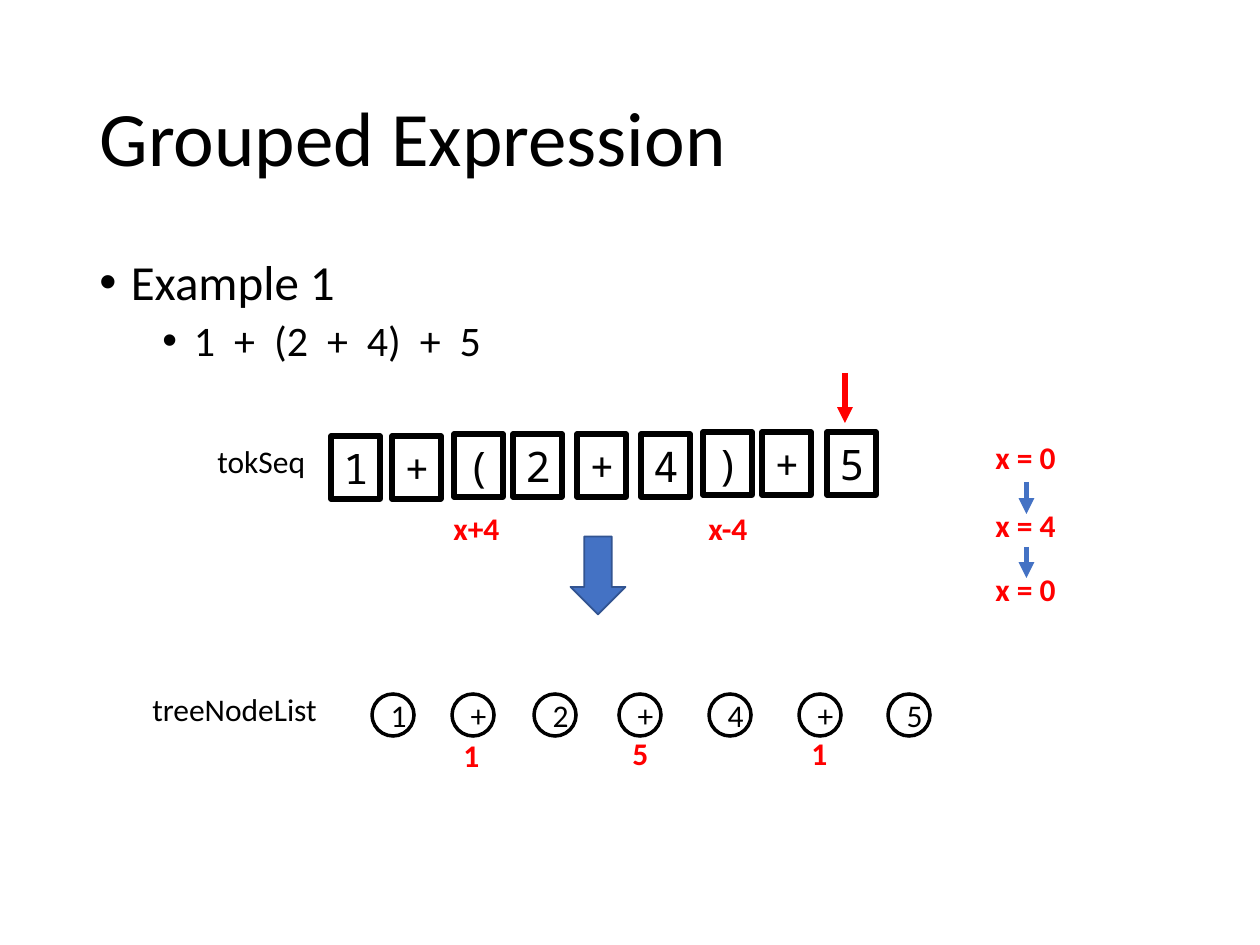
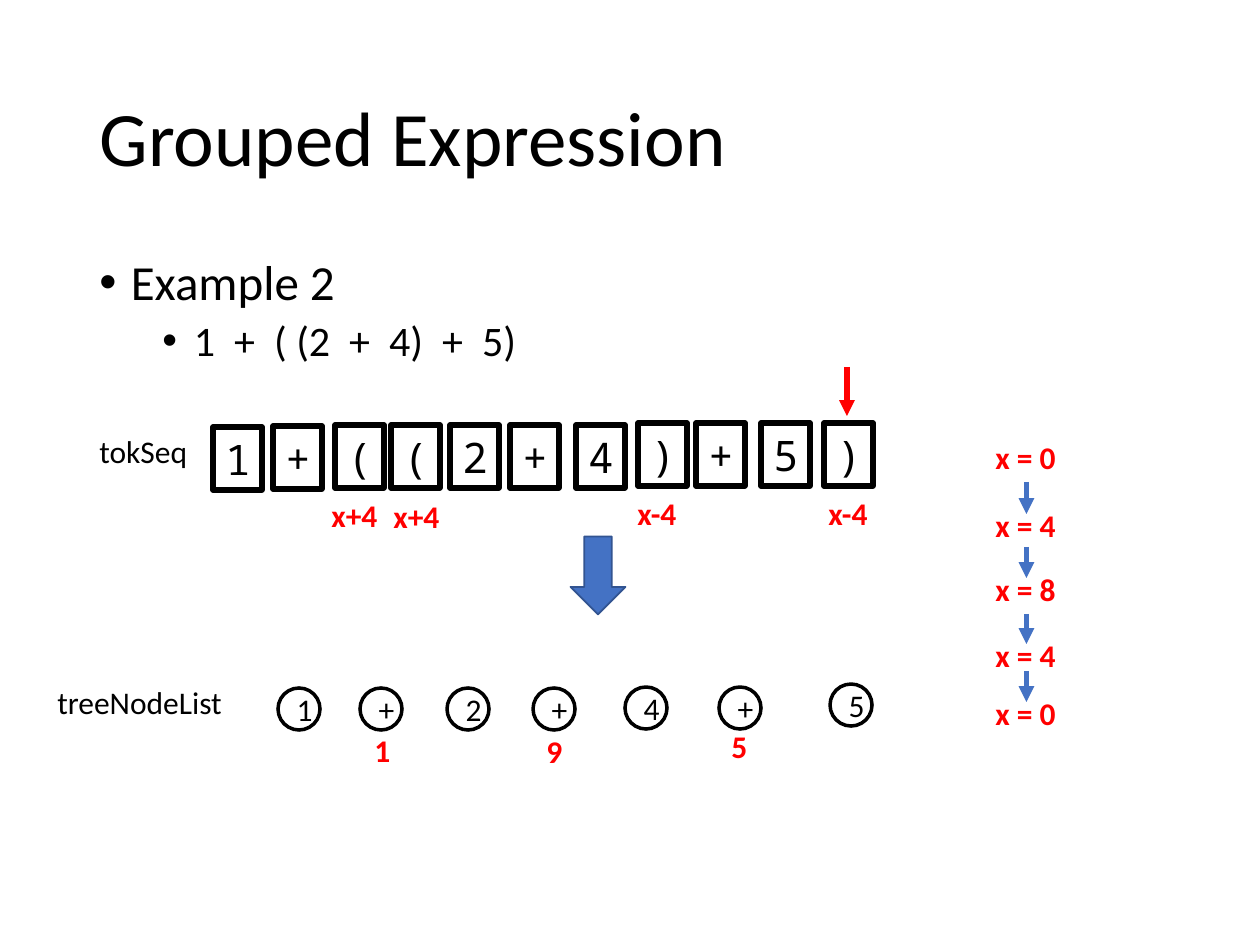
from lxml import etree
from pptx import Presentation
from pptx.dml.color import RGBColor
from pptx.enum.shapes import MSO_CONNECTOR, MSO_SHAPE
from pptx.enum.text import MSO_ANCHOR, MSO_AUTO_SIZE, PP_ALIGN
from pptx.oxml.ns import qn
from pptx.util import Emu, Pt

STRAIGHT = MSO_CONNECTOR.STRAIGHT
OVAL = MSO_SHAPE.OVAL
RIGHT_ARROW = MSO_SHAPE.RIGHT_ARROW
MIDDLE = MSO_ANCHOR.MIDDLE
NO_FIT = MSO_AUTO_SIZE.NONE
GROW = MSO_AUTO_SIZE.SHAPE_TO_FIT_TEXT
LEFT, CENTER = PP_ALIGN.LEFT, PP_ALIGN.CENTER

COLORS = {
    "black": "000000",
    "white": "FFFFFF",
    "red": "FF0000",
    "blue": "4472C4",
    "dark_blue": "325491",
}
FONT, MONO = "Calibri", "Noto Sans Mono"
EMU_PER_INCH, PX_PER_INCH = 914400, 126
LABEL_HEIGHT = 50
TOKEN_WIDTH, TOKEN_HEIGHT = 49, 63
NODE_SIZE = 42
TRACE_LEFT, TRACE_WIDTH = 983, 87
TRACE_TOPS = (432, 500, 564, 630, 688)
TRACE_ARROW_GAP, TRACE_ARROW_LENGTH = 17, 31

EXAMPLES = [
    {
        "heading": "Example 1",
        "expression": "1  +  (2  +  4)  +  5",
        "list_names": [("tokSeq", 205, 436, 115), ("treeNodeList", 140, 684, 192)],
        "tokens": [
            ("1", 331, 436), ("+", 392, 436), ("(", 454, 434),
            ("2", 513, 434), ("+", 577, 434), ("4", 641, 434),
            (")", 703, 432), ("+", 762, 432), ("5", 827, 432),
        ],
        "cursor": (845, 373, 423),
        "shifts": [("x+4", 441, 503, 74), ("x-4", 696, 503, 74)],
        "nodes": [
            ("1", 372, 694), ("+", 452, 694), ("2", 534, 694), ("+", 619, 694),
            ("4", 709, 694), ("+", 799, 694), ("5", 888, 694),
        ],
        "priorities": [("1", 451, 730), ("5", 620, 728), ("1", 799, 728)],
        "trace": (0, 4, 0),
    },
    {
        "heading": "Example 2",
        "expression": "1  +  ( (2  +  4)  +  5)",
        "list_names": [("tokSeq", 87, 426, 115), ("treeNodeList", 45, 677, 192)],
        "tokens": [
            ("1", 213, 427), ("+", 273, 426), ("(", 335, 425), ("(", 391, 425),
            ("2", 450, 425), ("+", 510, 425), ("4", 576, 425), (")", 638, 423),
            ("+", 696, 423), ("5", 761, 423), (")", 824, 423),
        ],
        "cursor": (847, 367, 416),
        "shifts": [
            ("x+4", 319, 490, 74), ("x+4", 381, 491, 74),
            ("x-4", 625, 488, 72), ("x-4", 816, 488, 72),
        ],
        "nodes": [
            ("1", 278, 688), ("+", 360, 688), ("2", 447, 688), ("+", 533, 688),
            ("4", 625, 687), ("+", 719, 687), ("5", 830, 684),
        ],
        "priorities": [("1", 362, 725), ("9", 534, 726), ("5", 719, 721)],
        "trace": (0, 4, 8, 4, 0),
    },
]


def px(length):
    return Emu(round(length * EMU_PER_INCH / PX_PER_INCH))


def rgb(name):
    return RGBColor.from_string(COLORS[name])


def add_span(para, text, size, color="black", font=FONT, bold=False):
    span = para.add_run()
    span.text = text
    span.font.name = font
    span.font.size = Pt(size)
    span.font.bold = bold
    span.font.color.rgb = rgb(color)


def set_line(shape, color, width):
    shape.line.color.rgb = rgb(color)
    shape.line.width = Pt(width)


def add_shape(page, kind, left, top, width, height, fill, line, line_width):
    shape = page.shapes.add_shape(kind, px(left), px(top), px(width), px(height))
    shape.shadow.inherit = False
    shape.fill.solid()
    shape.fill.fore_color.rgb = rgb(fill)
    set_line(shape, line, line_width)
    return shape


def add_label(page, text, left, top, width, height=LABEL_HEIGHT, size=18,
              color="black", font=FONT, bold=False):
    box = page.shapes.add_textbox(px(left), px(top), px(width), px(height))
    box.text_frame.word_wrap = False
    box.text_frame.auto_size = GROW
    add_span(box.text_frame.paragraphs[0], text, size, color, font, bold)
    return box


def add_red_label(page, text, left, top, width):
    return add_label(page, text, left, top, width, color="red", bold=True)


def add_token(page, text, left, top):
    box = add_label(page, text, left, top, TOKEN_WIDTH, TOKEN_HEIGHT, 24, font=MONO)
    set_line(box, "black", 3)


def add_node(page, text, left, top):
    node = add_shape(page, OVAL, left, top, NODE_SIZE, NODE_SIZE, "white", "black", 2)
    node.text_frame.vertical_anchor = MIDDLE
    para = node.text_frame.paragraphs[0]
    para.alignment = CENTER
    add_span(para, text, 18)


def add_arrow(page, x, start, end, color):
    arrow = page.shapes.add_connector(STRAIGHT, px(x), px(start), px(x), px(end))
    set_line(arrow, color, 3)
    etree.SubElement(arrow.line._get_or_add_ln(), qn("a:tailEnd"), type="triangle")
    etree.SubElement(arrow._element.spPr, qn("a:effectLst"))
    return arrow


def add_trace(page, values):
    previous = None
    for value, top in zip(values, TRACE_TOPS):
        label = add_red_label(page, f"x = {value}", TRACE_LEFT, top, TRACE_WIDTH)
        if previous is not None:
            start = top - TRACE_ARROW_GAP
            center = TRACE_LEFT + TRACE_WIDTH / 2
            arrow = add_arrow(page, center, start, start + TRACE_ARROW_LENGTH, "blue")
            if abs(previous.top + previous.height - px(start)) <= px(1):
                arrow.begin_connect(previous, 2)
        previous = label


def add_bullet(para, text, size, indent, space_before):
    para.line_spacing = 0.9
    para.space_before = Pt(space_before)
    properties = para._p.get_or_add_pPr()
    properties.set("marL", str(int(indent * EMU_PER_INCH)))
    properties.set("indent", str(int(-0.25 * EMU_PER_INCH)))
    etree.SubElement(properties, qn("a:buFont"), typeface="Arial")
    etree.SubElement(properties, qn("a:buChar"), char="•")
    add_span(para, text, size)


def add_title(page, text):
    title = page.shapes.title
    title.left, title.top, title.width, title.height = map(px, (87, 50, 1086, 183))
    frame = title.text_frame
    frame.auto_size = NO_FIT
    frame.vertical_anchor = MIDDLE
    para = frame.paragraphs[0]
    para.alignment = LEFT
    para.line_spacing = 0.9
    add_span(para, text, 44)


def add_outline(page, heading, expression):
    box = page.shapes.add_textbox(px(87), px(252), px(1086), px(600))
    frame = box.text_frame
    frame.word_wrap = True
    add_bullet(frame.paragraphs[0], heading, 28, 0.25, 10)
    para = frame.add_paragraph()
    para.level = 1
    add_bullet(para, expression, 24, 0.75, 5)


def add_example(deck, example):
    page = deck.slides.add_slide(deck.slide_layouts[5])
    add_title(page, "Grouped Expression")
    add_outline(page, example["heading"], example["expression"])
    for name in example["list_names"]:
        add_label(page, *name)
    for token in example["tokens"]:
        add_token(page, *token)
    add_arrow(page, *example["cursor"], "red")
    for shift in example["shifts"]:
        add_red_label(page, *shift)
    step = add_shape(page, RIGHT_ARROW, 559, 548, 78, 55, "blue", "dark_blue", 1)
    step.rotation = 90
    for node in example["nodes"]:
        add_node(page, *node)
    for priority in example["priorities"]:
        add_red_label(page, *priority, NODE_SIZE)
    add_trace(page, example["trace"])


def main():
    deck = Presentation()
    deck.slide_width, deck.slide_height = px(1260), px(945)
    for example in EXAMPLES:
        add_example(deck, example)
    deck.save("out.pptx")


if __name__ == "__main__":
    main()
